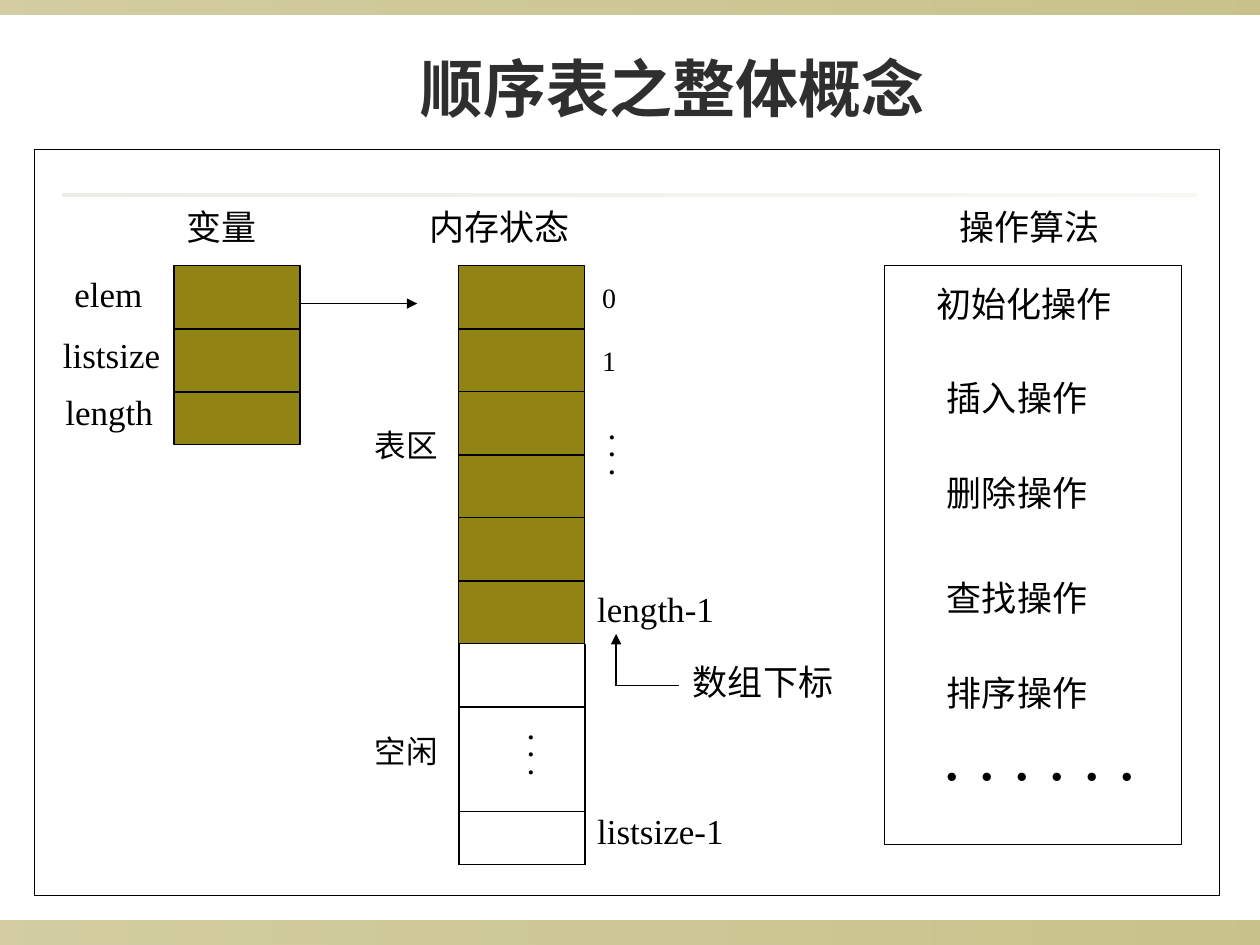
from lxml.etree import SubElement
from pptx import Presentation
from pptx.dml.color import RGBColor
from pptx.enum.shapes import MSO_CONNECTOR as Connector, MSO_SHAPE as Shape
from pptx.enum.text import MSO_ANCHOR as Anchor, PP_ALIGN as Align
from pptx.oxml.ns import qn
from pptx.util import Cm, Pt

OLIVE = "918415"
BLACK = "000000"
SERIF = "Times New Roman"
SANS = "Arial"
CHINESE = "Noto Sans CJK SC"
CELL_WIDTH = 2.54
CELL_HEIGHT = 1.27
LABEL_HEIGHT = 1.12
FOUR_WIDTH = 3.45
HEADING_RISE = 1.35


def color(value):
    return RGBColor.from_string(value)


def add_rectangle(slide, left, top, width, height):
    shape = slide.shapes.add_shape(Shape.RECTANGLE, Cm(left), Cm(top), Cm(width), Cm(height))
    shape.shadow.inherit = False
    return shape


def add_box(slide, left, top, width, height, fill=None):
    shape = add_rectangle(slide, left, top, width, height)
    if fill:
        shape.fill.solid()
        shape.fill.fore_color.rgb = color(fill)
    else:
        shape.fill.background()
    shape.line.color.rgb = color(BLACK)
    shape.line.width = Pt(0.75)


def add_band(slide, left, top, width, height, tint, opacities):
    shape = add_rectangle(slide, left, top, width, height)
    shape.line.fill.background()
    shape.fill.gradient()
    shape.fill.gradient_angle = 0
    for stop in shape.fill.gradient_stops:
        stop.color.rgb = color(tint)
    stop_colors = shape._element.spPr.iter(qn("a:srgbClr"))
    for stop_color, opacity in zip(stop_colors, opacities):
        SubElement(stop_color, qn("a:alpha"), val=str(opacity * 1000))


def add_line(slide, start_x, start_y, end_x, end_y, arrow=False):
    line = slide.shapes.add_connector(
        Connector.STRAIGHT, Cm(start_x), Cm(start_y), Cm(end_x), Cm(end_y))
    line.line.color.rgb = color(BLACK)
    line.line.width = Pt(0.75)
    properties = line._element.spPr
    if arrow:
        SubElement(properties.find(qn("a:ln")), qn("a:tailEnd"), type="triangle")
    SubElement(properties, qn("a:effectLst"))


def add_text(slide, text, left, top, width, height=LABEL_HEIGHT, size=20, font=SERIF,
             tint=BLACK, bold=False, vertical=False):
    shape = slide.shapes.add_textbox(Cm(left), Cm(top), Cm(width), Cm(height))
    frame = shape.text_frame
    frame.word_wrap = False
    inset_x, inset_y = (0.13, 0.25) if vertical else (0.25, 0.13)
    frame.margin_left = frame.margin_right = Cm(inset_x)
    frame.margin_top = frame.margin_bottom = Cm(inset_y)
    if vertical:
        frame._txBody.bodyPr.set("vert", "eaVert")
    run = frame.paragraphs[0].add_run()
    run.text = text
    run.font.size = Pt(size)
    run.font.bold = bold
    run.font.color.rgb = color(tint)
    run.font.name = font
    SubElement(run.font._element, qn("a:ea"), typeface=CHINESE)
    return frame


def add_background(slide, width, height):
    add_band(slide, 0, height - 0.5, width, 0.5, OLIVE, (40, 50))
    add_band(slide, 0, 0, width, 0.3, OLIVE, (40, 50))
    add_band(slide, 1.27, 3.91, width - 2.54, 0.05, "DCD9CC", (50, 20))
    add_box(slide, 0.69, 3.02, 23.9, 15.04)


def add_title(slide, left, top, width, height):
    frame = add_text(slide, "顺序表之整体概念", left, top, width, height,
                     size=36, font=CHINESE, tint="2F2F2F", bold=True)
    frame.word_wrap = True
    frame.vertical_anchor = Anchor.MIDDLE
    frame.paragraphs[0].alignment = Align.CENTER


def add_variables(slide, left, top):
    add_text(slide, "变量", left, top - HEADING_RISE, 2.1)
    add_box(slide, left, top, CELL_WIDTH, 3.6, OLIVE)
    right = left + CELL_WIDTH
    for row in (1, 2):
        add_line(slide, left, top + row * CELL_HEIGHT, right, top + row * CELL_HEIGHT)
    labels = (("elem", -2.26, 0, 2.1), ("listsize", -2.49, 1.24, 2.75),
              ("length", -2.44, 2.39, 2.5))
    for name, x, y, width in labels:
        add_text(slide, name, left + x, top + y, width)
    add_line(slide, right, top + 0.76, right + 2.36, top + 0.76, arrow=True)


def add_memory(slide, left, top):
    right = left + CELL_WIDTH
    bottom = top + 12.07
    add_text(slide, "内存状态", left - 0.84, top - HEADING_RISE, FOUR_WIDTH)
    for row in (0, 2, 4):
        add_box(slide, left, top + row * CELL_HEIGHT, CELL_WIDTH, 2 * CELL_HEIGHT, OLIVE)
    for row in (1, 3, 5, 7):
        add_line(slide, left, top + row * CELL_HEIGHT, right, top + row * CELL_HEIGHT)
    for y in (top + 11, bottom):
        add_line(slide, left, y, right, y)
    for x in (left, right):
        add_line(slide, x, top + 6 * CELL_HEIGHT, x, bottom)

    for index in range(2):
        add_text(slide, str(index), right + 0.1, top + 0.16 + index * CELL_HEIGHT,
                 0.85, 0.94, size=16)
    add_text(slide, "length-1", right, top + 6.35, 3.1)
    add_text(slide, "listsize-1", right, top + 10.83, 3.4)
    for x, y in ((right, top + 3.12), (left + 0.91, top + 9.17)):
        add_text(slide, ". . .", x, y, 1.35, 1.4, vertical=True)
    for name, y in (("表区", 3.1), ("空闲", 9.27)):
        add_text(slide, name, left - 1.94, top + y, 1.9, 1.02, size=18, font=SANS)

    corner_x, corner_y = left + 3.17, top + 8.46
    add_line(slide, corner_x, corner_y, corner_x, corner_y - 1.04, arrow=True)
    add_line(slide, corner_x, corner_y, corner_x + 1.27, corner_y)
    add_text(slide, "数组下标", left + 4.47, top + 7.82, FOUR_WIDTH)


def add_operations(slide, left, top, width, height):
    add_text(slide, "操作算法", left + 1.27, top - HEADING_RISE, FOUR_WIDTH)
    add_box(slide, left, top, width, height)
    add_text(slide, "初始化操作", left + 0.79, top + 0.2, 4.2)
    operations = (("插入操作", 2.11), ("删除操作", 4.01), ("查找操作", 6.13), ("排序操作", 8.05))
    for name, y in operations:
        add_text(slide, name, left + 1.01, top + y, FOUR_WIDTH)
    add_text(slide, ". . . . . .", left + 0.94, top + 8.84, 4.9, 1.96, size=40)


def main():
    presentation = Presentation()
    presentation.slide_width = Cm(25.4)
    presentation.slide_height = Cm(19.05)
    slide = presentation.slides.add_slide(presentation.slide_layouts[6])
    add_background(slide, 25.4, 19.05)
    add_title(slide, 2.77, 0.91, 21.59, 1.7)
    add_variables(slide, 3.51, 5.36)
    add_memory(slide, 9.25, 5.36)
    add_operations(slide, 17.83, 5.36, 5.99, 11.66)
    presentation.save("out.pptx")


if __name__ == "__main__":
    main()
